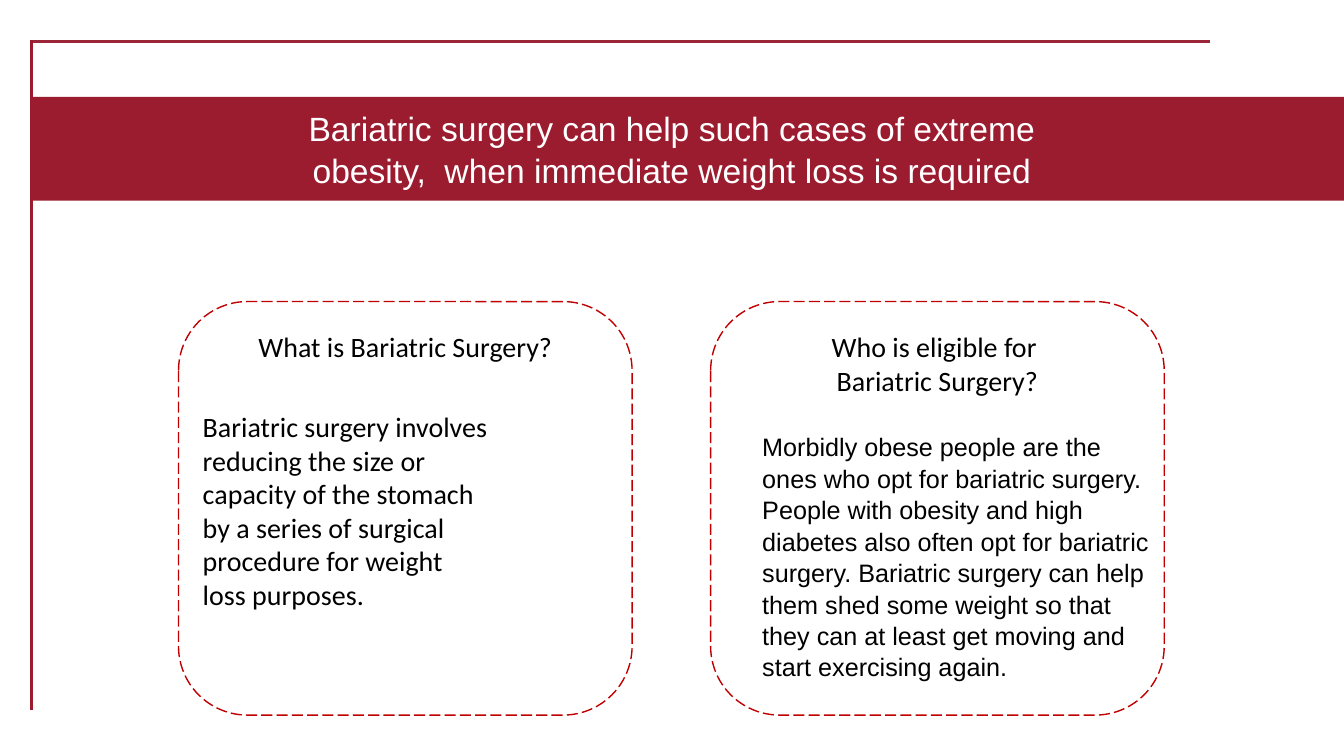
from pptx import Presentation
from pptx.dml.color import RGBColor
from pptx.enum.dml import MSO_LINE
from pptx.enum.shapes import MSO_CONNECTOR, MSO_SHAPE
from pptx.enum.text import MSO_ANCHOR, MSO_AUTO_SIZE, PP_ALIGN
from pptx.oxml.ns import qn
from pptx.util import Cm, Pt

RECT, ROUND = MSO_SHAPE.RECTANGLE, MSO_SHAPE.ROUNDED_RECTANGLE
STRAIGHT, DASH = MSO_CONNECTOR.STRAIGHT, MSO_LINE.LONG_DASH
LEFT, CENTER = PP_ALIGN.LEFT, PP_ALIGN.CENTER
TOP, FIXED = MSO_ANCHOR.TOP, MSO_AUTO_SIZE.NONE
WINE, RED, BLACK, WHITE = "9B1B2F", "C00000", "000000", "FFFFFF"


def color(code):
    return RGBColor.from_string(code)


def write(shape, *lines, font="Calibri", size=20, ink=BLACK, align=LEFT,
          pitch=1.0):
    frame = shape.text_frame
    frame.word_wrap = True
    frame.auto_size = FIXED
    frame.vertical_anchor = TOP
    frame.margin_left = frame.margin_right = Cm(0.13)
    frame.margin_top = frame.margin_bottom = Cm(0.13)
    frame.text = "\n".join(lines)
    for para in frame.paragraphs:
        para.alignment = align
        para.line_spacing = pitch
        para.font.name = font
        para.font.size = Pt(size)
        para.font.color.rgb = color(ink)


def place(shape, x, y, w, h):
    shape.left, shape.top = Cm(x), Cm(y)
    shape.width, shape.height = Cm(w), Cm(h)


def add_text(slide, x, y, w, h, *lines, **style):
    box = slide.shapes.add_textbox(Cm(x), Cm(y), Cm(w), Cm(h))
    write(box, *lines, **style)


def add_rule(slide, x1, y1, x2, y2, ink):
    rule = slide.shapes.add_connector(STRAIGHT, Cm(x1), Cm(y1), Cm(x2), Cm(y2))
    rule.line.color.rgb = color(ink)
    rule.line.width = Pt(2)
    props = rule._element.spPr
    props.append(props.makeelement(qn("a:effectLst"), {}))


def add_band(slide, x, y, w, h):
    band = slide.shapes.add_shape(RECT, Cm(x), Cm(y), Cm(w), Cm(h))
    band.shadow.inherit = False
    band.fill.solid()
    band.fill.fore_color.rgb = color(WINE)
    band.line.fill.background()


def add_card(slide, x, y, w, h):
    card = slide.shapes.add_shape(ROUND, Cm(x), Cm(y), Cm(w), Cm(h))
    card.shadow.inherit = False
    card.fill.background()
    card.line.color.rgb = color(RED)
    card.line.width = Pt(1)
    card.line.dash_style = DASH


def add_title(slide, text):
    title = slide.shapes.title
    place(title, 6.15, 2.54, 21.56, 2.44)
    write(title, text, font="Arial", size=24, ink=WHITE, align=CENTER,
          pitch=1.05)
    # Bring the title in front of the band
    title._element.getparent().append(title._element)


def main():
    deck = Presentation()
    deck.slide_width, deck.slide_height = Cm(33.87), Cm(19.05)
    slide = deck.slides.add_slide(deck.slide_layouts[5])

    # Frame lines
    add_rule(slide, 0.79, 1.04, 30.5, 1.04, "9C2639")
    add_rule(slide, 0.79, 17.88, 0.79, 1.02, WINE)

    # Heading band
    add_band(slide, 0.81, 2.44, 33.06, 2.62)
    add_title(slide, "Bariatric surgery can help such cases of extreme "
                     "obesity,  when immediate weight loss is required")

    # Cards and their headings
    heads = [["What is Bariatric Surgery?"],
             ["Who is eligible for ", "Bariatric Surgery?"]]
    for i, head in enumerate(heads):
        x = 4.5 + 13.41 * i
        add_card(slide, x, 7.6, 11.43, 10.42)
        add_text(slide, x + 1.5, 8.18, 8.43, 0.86 * len(head), *head,
                 align=CENTER)

    # Card texts
    add_text(slide, 4.98, 10.19, 7.45, 5.18,
             "Bariatric surgery involves reducing the size or capacity of the "
             "stomach by a series of surgical procedure for weight loss "
             "purposes.")
    add_text(slide, 19.08, 10.72, 10.13, 7.87,
             "Morbidly obese people are the ones who opt for bariatric "
             "surgery. People with obesity and high diabetes also often opt "
             "for bariatric surgery. Bariatric surgery can help them shed "
             "some weight so that they can at least get moving and start "
             "exercising again.", font="Arial", size=18, pitch=1.04)

    deck.save("out.pptx")


if __name__ == "__main__":
    main()
